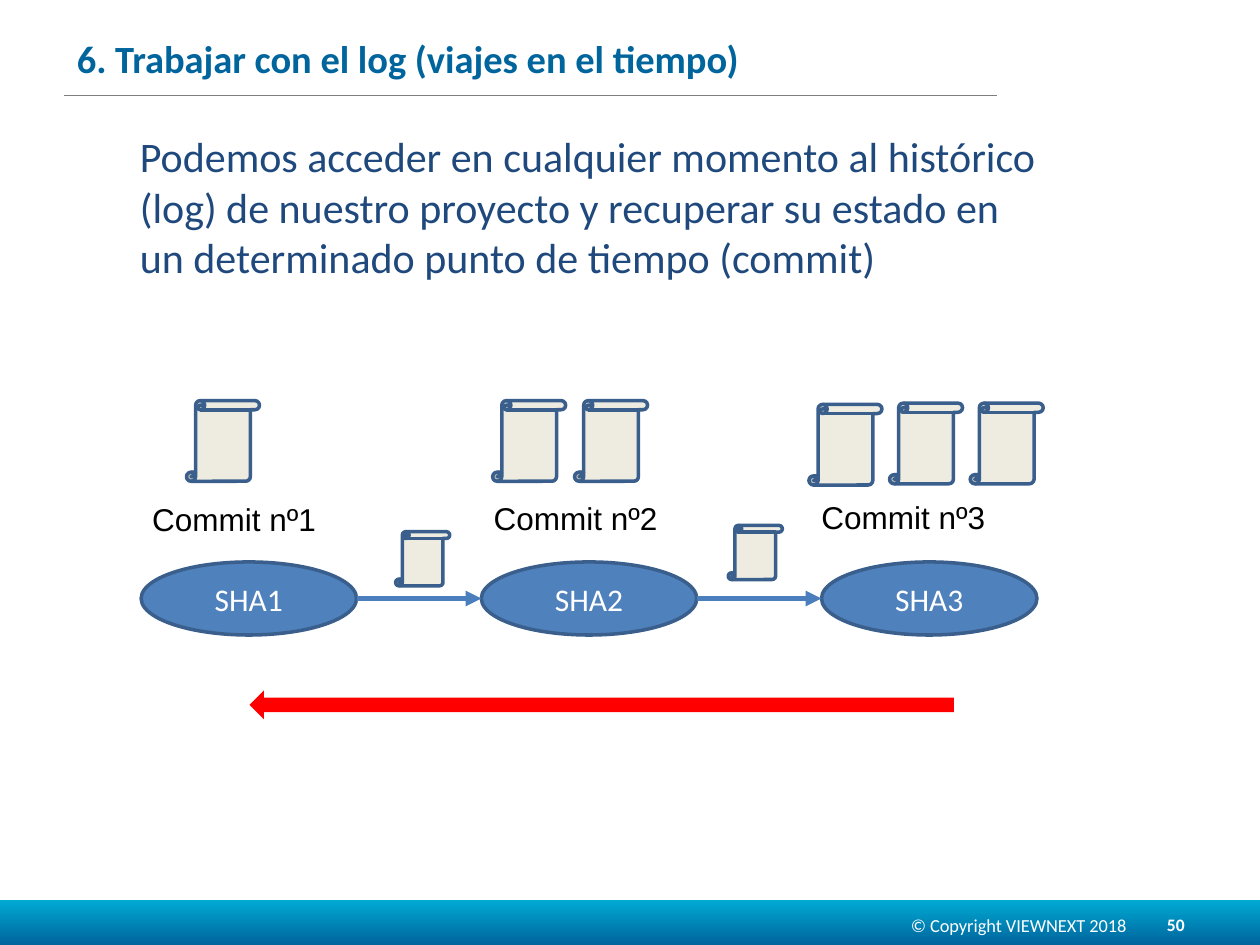
from lxml import etree
from pptx import Presentation
from pptx.dml.color import RGBColor
from pptx.enum import shapes, text
from pptx.oxml.ns import qn
from pptx.util import Inches, Pt

FORMATS = {
    "title": {"size": Pt(22), "name": "Calibri", "bold": True, "color": "00649D"},
    "body": {"size": Pt(24), "name": "Calibri", "color": "1F497D"},
    "label": {"size": Pt(18), "name": "Arial", "color": "000000"},
    "node": {"size": Pt(18), "name": "Calibri", "color": "FFFFFF"},
    "copyright": {"size": Pt(10.5), "name": "Calibri", "color": "FFFFFF"},
    "number": {"size": Pt(10), "name": "Calibri", "bold": True, "color": "FFFFFF"},
}
OUTLINE = "3A5F8C"
NODE_LEFT, NODE_STEP, NODE_WIDTH, NODE_MIDDLE = 1.12, 2.7, 1.71, 4.75
LABELS = [(1.11, 3.92), (3.82, 3.91), (6.42, 3.9)]
COMMIT_FILES = [(1.48, 3.18), (3.91, 3.18), (4.56, 3.18),
                (6.42, 3.21), (7.06, 3.2), (7.7, 3.2)]
CHANGED_FILES = [(3.14, 4.22), (5.78, 4.17)]


def rgb(value):
    """Turn a hex string into a colour."""
    return RGBColor.from_string(value)


def write(shape, content, style, align=text.PP_ALIGN.LEFT, anchor=text.MSO_ANCHOR.MIDDLE):
    """Put one formatted paragraph into a shape."""
    frame = shape.text_frame
    frame.word_wrap = True
    frame.vertical_anchor = anchor
    para = frame.paragraphs[0]
    para.alignment = align
    span = para.add_run()
    span.text = content
    for name, value in FORMATS[style].items():
        if name == "color":
            span.font.color.rgb = rgb(value)
        else:
            setattr(span.font, name, value)


def add_text(page, area, content, style, **layout):
    """Add a wrapped text box."""
    box = page.shapes.add_textbox(*map(Inches, area))
    write(box, content, style, **layout)
    return box


def add_figure(page, kind, area, fill, outline=None):
    """Add a preset shape with a plain fill and an optional outline."""
    figure = page.shapes.add_shape(kind, *map(Inches, area))
    figure.shadow.inherit = False
    figure.fill.solid()
    figure.fill.fore_color.rgb = rgb(fill)
    if outline:
        figure.line.color.rgb = rgb(outline)
        figure.line.width = Pt(2)
    else:
        figure.line.fill.background()
    return figure


def add_line(page, start, end, color, width, arrow=False):
    """Add a straight line, with an arrowhead at its end if asked."""
    line = page.shapes.add_connector(
        shapes.MSO_CONNECTOR.STRAIGHT, *map(Inches, (*start, *end)))
    line.line.color.rgb = rgb(color)
    line.line.width = Pt(width)
    if arrow:
        outline = line.element.spPr.find(qn("a:ln"))
        etree.SubElement(outline, qn("a:tailEnd"), type="triangle")
    etree.SubElement(line.element.spPr, qn("a:effectLst"))


def add_frame(page):
    """Add the title, its rule and the footer band."""
    band = add_figure(page, shapes.MSO_SHAPE.RECTANGLE, (0, 7.14, 10, 0.36), "00649D")
    band.fill.gradient()
    band.fill.gradient_angle = 90
    for stop, color in zip(band.fill.gradient_stops, ("00649D", "00ABD4")):
        stop.color.rgb = rgb(color)
    add_line(page, (0.51, 0.76), (7.91, 0.76), "7F7F7F", 0.75)
    add_text(page, (6.5, 7.14, 3.17, 0.4), "© Copyright VIEWNEXT 2018", "copyright",
             align=text.PP_ALIGN.CENTER)
    add_text(page, (7.17, 7.14, 2.33, 0.4), "50", "number", align=text.PP_ALIGN.RIGHT)
    title = page.shapes.title
    area = {"left": 0.51, "top": 0.21, "width": 7.85, "height": 0.5}
    for name, value in area.items():
        setattr(title, name, Inches(value))
    write(title, "6. Trabajar con el log (viajes en el tiempo)", "title")


def add_history(page):
    """Add the chain of commits with their labels and files."""
    for index, (left, top) in enumerate(LABELS):
        node_left = NODE_LEFT + index * NODE_STEP
        node = add_figure(page, shapes.MSO_SHAPE.OVAL,
                          (node_left, NODE_MIDDLE - 0.29, NODE_WIDTH, 0.58),
                          "4F81BD", OUTLINE)
        write(node, f"SHA{index + 1}", "node", align=text.PP_ALIGN.CENTER)
        add_text(page, (left, top, NODE_WIDTH, 0.4), f"Commit nº{index + 1}", "label",
                 anchor=text.MSO_ANCHOR.TOP)
        if index:
            start = node_left - NODE_STEP + NODE_WIDTH
            add_line(page, (start, NODE_MIDDLE), (node_left, NODE_MIDDLE),
                     "4B7EBC", 3, arrow=True)
    for places, size in ((COMMIT_FILES, (0.58, 0.64)), (CHANGED_FILES, (0.43, 0.43))):
        for place in places:
            add_figure(page, shapes.MSO_SHAPE.VERTICAL_SCROLL, place + size,
                       "EEECE1", OUTLINE)
    back = add_figure(page, shapes.MSO_SHAPE.RIGHT_ARROW, (1.98, 5.48, 5.59, 0.23), "FF0000")
    back.rotation = 180


def main():
    """Build the slide and save it."""
    deck = Presentation()
    deck.slide_width, deck.slide_height = Inches(10), Inches(7.5)
    page = deck.slides.add_slide(deck.slide_layouts[5])
    add_frame(page)
    add_history(page)
    body = add_text(
        page, (0.51, 0.99, 7.85, 2.11),
        "Podemos acceder en cualquier momento al histórico (log) de nuestro proyecto "
        "y recuperar su estado en un determinado punto de tiempo (commit)",
        "body", anchor=text.MSO_ANCHOR.TOP)
    body.text_frame.margin_left = Inches(0.6)
    deck.save("out.pptx")


if __name__ == "__main__":
    main()
